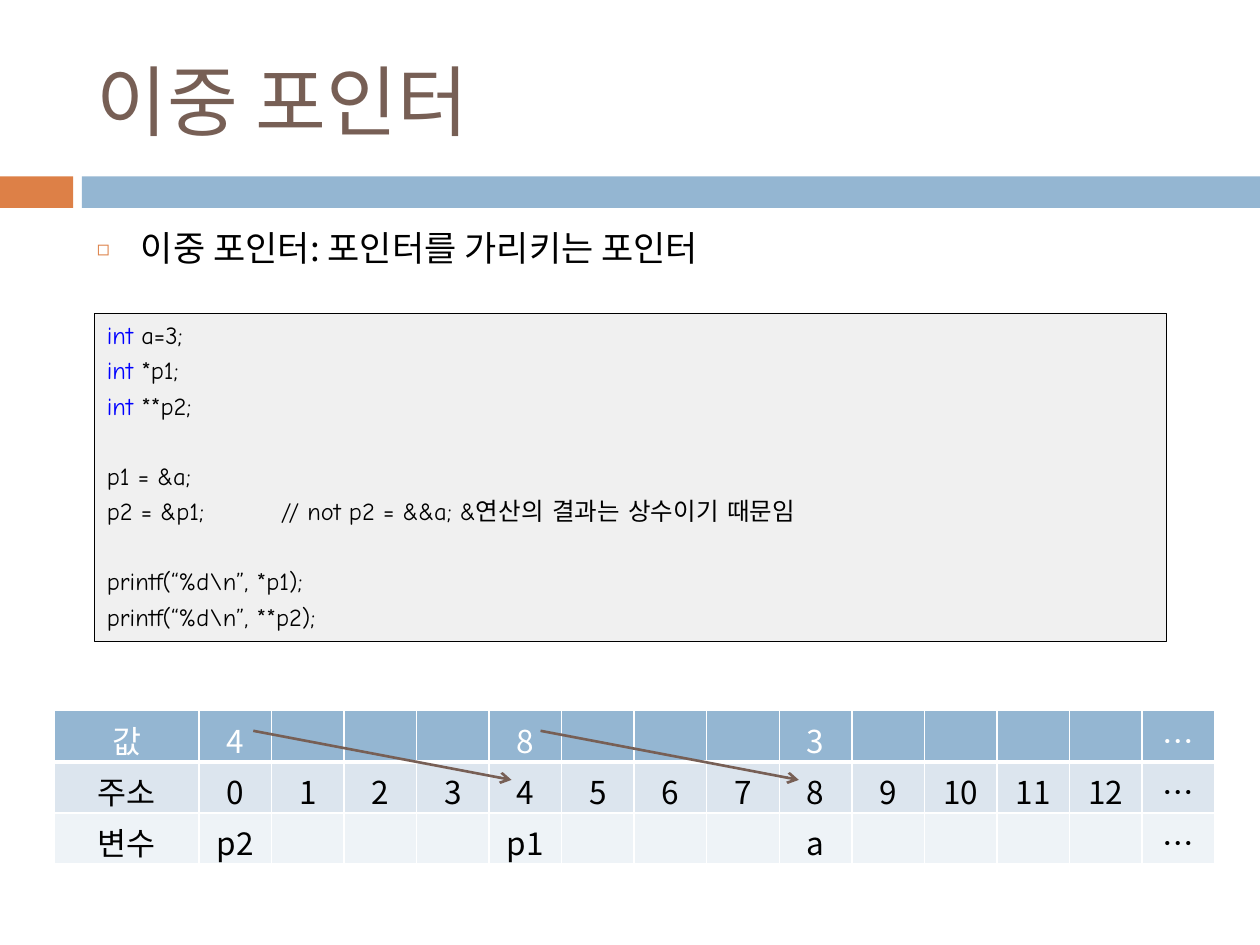
from lxml import etree
from pptx import Presentation
from pptx import util as u
from pptx.dml.color import RGBColor
from pptx.enum import shapes, text
from pptx.oxml.ns import qn

COLS, ROWS = 100, 75
KOREAN, CODE, TITLE = "Noto Sans CJK KR", "Comic Neue", "Calibri"
BLUE, ORANGE, BROWN = "94B6D2", "DD8047", "775F55"
WHITE, BLACK, KEYWORD = "FFFFFF", "000000", "0000FF"


def rgb(value):
    return RGBColor.from_string(value)


def apply(obj, formats):
    for name, value in formats.items():
        setattr(obj, name, value)


def add(parent, tag, **attrs):
    return etree.SubElement(parent, qn(tag), {k: str(v) for k, v in attrs.items()})


class Deck:
    def __init__(self, width, height):
        self.prs = Presentation()
        apply(self.prs, {"slide_width": u.Inches(width), "slide_height": u.Inches(height)})
        self.s = self.prs.slides.add_slide(self.prs.slide_layouts[6])

    def x(self, cols):
        return round(self.prs.slide_width * cols / COLS)

    def y(self, rows):
        return round(self.prs.slide_height * rows / ROWS)

    def place(self, left, top, width, height):
        return self.x(left), self.y(top), self.x(width), self.y(height)

    def run(self, p, words, font, size, color):
        r = p.add_run()
        r.text = words
        apply(r.font, {"name": font, "size": u.Pt(size)})
        r.font.color.rgb = rgb(color)
        add(r.font._element, "a:ea", typeface=font)

    def indent(self, p, cols):
        pPr = p._p.get_or_add_pPr()
        pPr.set("marL", str(self.x(cols)))
        pPr.set("indent", str(-self.x(cols)))
        return pPr

    def bar(self, place, fill, line=None):
        sp = self.s.shapes.add_shape(shapes.MSO_SHAPE.RECTANGLE, *self.place(*place))
        sp.shadow.inherit = False
        sp.fill.solid()
        sp.fill.fore_color.rgb = rgb(fill)
        if line:
            sp.line.color.rgb = rgb(line)
            sp.line.width = u.Pt(0.25)
        else:
            sp.line.fill.background()
        return sp

    def label(self, place, words, font, size, color, anchor=text.MSO_ANCHOR.TOP):
        tf = self.s.shapes.add_textbox(*self.place(*place)).text_frame
        apply(tf, {"word_wrap": True, "vertical_anchor": anchor})
        self.run(tf.paragraphs[0], words, font, size, color)
        return tf.paragraphs[0]

    def bullet(self, place, words):
        p = self.label(place, words, KOREAN, 20, BLACK)
        p.space_before = u.Pt(7)
        pPr = self.indent(p, 3.5)
        add(add(pPr, "a:buClr"), "a:srgbClr", val=ORANGE)
        add(pPr, "a:buSzPct", val=60000)
        add(pPr, "a:buFont", typeface=KOREAN)
        add(pPr, "a:buChar", char="◻")

    def code(self, place, blocks, gap=3.5, pitch=19.7):
        tf = self.bar(place, "F0F0F0", BLACK).text_frame
        apply(tf, {"word_wrap": True, "vertical_anchor": text.MSO_ANCHOR.TOP})
        p = tf.paragraphs[0]
        for b, block in enumerate(blocks):
            for n, line in enumerate(block):
                if b or n:
                    p = tf.add_paragraph()
                p.alignment = text.PP_ALIGN.LEFT
                p.space_before = u.Pt(gap + pitch if b and not n else gap)
                self.indent(p, 3.8)
                if line.startswith("int "):
                    self.run(p, "int", CODE, 14, KEYWORD)
                    line = line[3:]
                self.run(p, line, CODE, 14, BLACK)

    def table(self, place, first, rows, styles):
        count = len(rows[0])
        tbl = self.s.shapes.add_table(len(rows), count, *self.place(*place)).table
        for c, col in enumerate(tbl.columns):
            col.width = self.x((place[2] - first) / (count - 1) if c else first)
        for i, (row, (fill, color, bottom)) in enumerate(zip(rows, styles)):
            for c, words in enumerate(row):
                cell = tbl.cell(i, c)
                tcPr = cell._tc.get_or_add_tcPr()
                for side in "LRTB":
                    width = u.Pt(bottom if side == "B" else 1)
                    ln = add(tcPr, "a:ln" + side, w=width)
                    add(add(ln, "a:solidFill"), "a:srgbClr", val=WHITE)
                cell.fill.solid()
                cell.fill.fore_color.rgb = rgb(fill)
                if words:
                    p = cell.text_frame.paragraphs[0]
                    p.alignment = text.PP_ALIGN.CENTER
                    self.run(p, words, KOREAN, 18, color)

    def arrow(self, left, top, width, height):
        x, y, w, h = self.place(left, top, width, height)
        sp = self.s.shapes.add_connector(shapes.MSO_CONNECTOR.STRAIGHT, x, y, x + w, y + h)
        sp.line.color.rgb = rgb(BROWN)
        sp.line.width = u.Pt(1.5)
        add(sp.line._get_or_add_ln(), "a:tailEnd", type="arrow")
        add(sp._element.spPr, "a:effectLst")


def sparse(name, p2, p1, a):
    cells = {0: name, 1: p2, 5: p1, 9: a, 14: "…"}
    return [cells.get(c, "") for c in range(15)]


def main():
    deck = Deck(10, 7.5)
    deck.bar((0, 14, 5.8, 2.5), ORANGE)
    deck.bar((6.5, 14, 93.5, 2.5), BLUE)
    deck.label((6.7, 2.5, 89.2, 10.8), "이중 포인터", TITLE, 44, BROWN, text.MSO_ANCHOR.MIDDLE)
    deck.bullet((6.7, 17.5, 89.2, 49.2), "이중 포인터: 포인터를 가리키는 포인터")
    deck.code((7.5, 24.9, 85.1, 26), [
        ["int a=3;", "int *p1;", "int **p2;"],
        ["p1 = &a;", "p2 = &p1;\t\t// not p2 = &&a; &연산의 결과는 상수이기 때문임"],
        ["printf(“%d\\n”, *p1);", "printf(“%d\\n”, **p2);"],
    ])
    deck.table((4.3, 56.4, 92.1, 12.2), 11.5, [
        sparse("값", "4", "8", "3"),
        ["주소", *map(str, range(13)), "…"],
        sparse("변수", "p2", "p1", "a"),
    ], [(BLUE, WHITE, 3), ("DCE5EE", BLACK, 1), ("EEF3F7", BLACK, 1)])
    for left in (42.9, 20.1):
        deck.arrow(left, 58, 20.5, 3.9)
    deck.prs.save("out.pptx")


if __name__ == "__main__":
    main()
